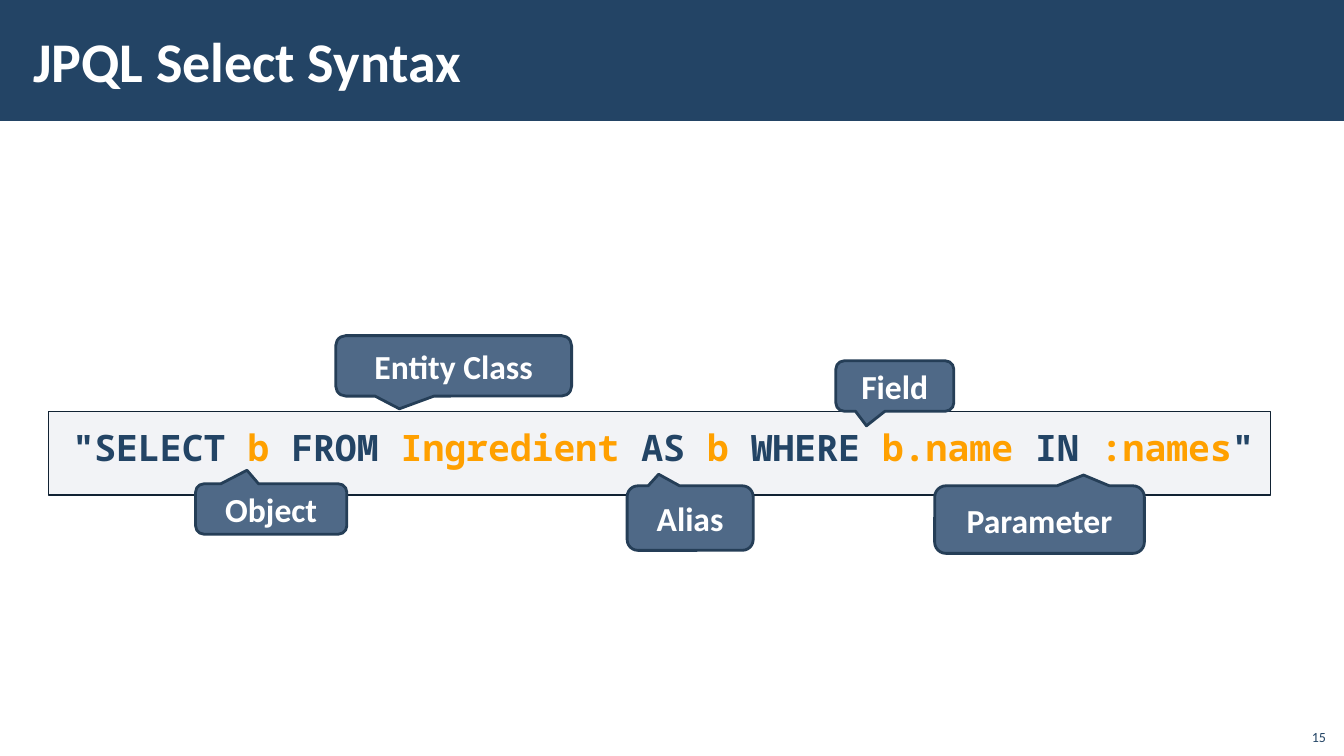
from dataclasses import dataclass

from lxml.etree import SubElement
from pptx import Presentation
from pptx.dml.color import RGBColor
from pptx.enum.shapes import MSO_SHAPE as Shape
from pptx.enum.text import MSO_ANCHOR as Anchor, PP_ALIGN as Align
from pptx.oxml.ns import qn
from pptx.util import Inches, Pt


@dataclass(frozen=True)
class Theme:
    navy: str = "234465"
    white: str = "FFFFFF"
    orange: str = "FFA000"
    code_fill: str = "ADB4C3"
    code_line: str = "112233"
    callout_fill: str = "4F6987"
    callout_line: str = "253E57"
    body_font: str = "Calibri"
    code_font: str = "Noto Sans Mono"
    title_size: int = 40
    code_size: int = 26
    callout_size: int = 24
    number_size: int = 10


def write(shape, spans, *, font, size, bold=False, align=Align.LEFT,
          anchor=Anchor.TOP, insets=(0.1, 0.05), indent=0, spacing=None):
    """Fill a shape with one paragraph of (text, colour) spans."""
    frame = shape.text_frame
    frame.word_wrap = True
    frame.vertical_anchor = anchor
    frame.margin_left = frame.margin_right = Inches(insets[0])
    frame.margin_top = frame.margin_bottom = Inches(insets[1])
    para = frame.paragraphs[0]
    para.alignment = align
    if spacing:
        para.line_spacing = spacing
    if indent:
        para._p.get_or_add_pPr().set("marL", str(Inches(indent)))
    for text, color in spans:
        span = para.add_run()
        span.text = text
        span.font.name = font
        span.font.size = Pt(size)
        span.font.bold = bold
        span.font.color.rgb = RGBColor.from_string(color)


class SlideBuilder:
    def __init__(self, slide, theme):
        self.slide = slide
        self.theme = theme

    def shape(self, kind, place, fill, line=None, width=1, opacity=None):
        shape = self.slide.shapes.add_shape(kind, *map(Inches, place))
        shape.shadow.inherit = False
        shape.fill.solid()
        shape.fill.fore_color.rgb = RGBColor.from_string(fill)
        if opacity is not None:
            color = shape.fill._xPr.find(qn("a:solidFill"))[0]
            SubElement(color, qn("a:alpha")).set("val", str(opacity * 1000))
        if line:
            shape.line.color.rgb = RGBColor.from_string(line)
            shape.line.width = Pt(width)
        else:
            shape.line.fill.background()
        return shape

    def label(self, text, place, color, **style):
        box = self.slide.shapes.add_textbox(*map(Inches, place))
        write(box, [(text, color)], font=self.theme.body_font, **style)

    def title(self, text):
        theme = self.theme
        self.shape(Shape.RECTANGLE, (0, 0, 13.33, 1.2), theme.navy)
        self.label(text, (0.21, 0.11, 10.63, 0.97), theme.white, bold=True,
                   size=theme.title_size, anchor=Anchor.MIDDLE, insets=(0.12, 0.04))

    def query(self, parts, place):
        """Draw a code box whose parts alternate between keyword and highlight."""
        theme = self.theme
        box = self.shape(Shape.RECTANGLE, place, theme.code_fill,
                         theme.code_line, opacity=15)
        colors = (theme.navy, theme.orange)
        spans = [(part, colors[index % 2]) for index, part in enumerate(parts)]
        write(box, spans, font=theme.code_font, size=theme.code_size, bold=True,
              insets=(0.16, 0.12), indent=0.08, spacing=1.05)

    def callout(self, text, place, tip):
        """Draw a callout; tip is its offset from the centre in widths and heights."""
        theme = self.theme
        bubble = self.shape(Shape.ROUNDED_RECTANGULAR_CALLOUT, place,
                            theme.callout_fill, theme.callout_line, width=2)
        bubble.adjustments[0], bubble.adjustments[1] = tip
        write(bubble, [(text, theme.white)], font=theme.body_font, bold=True,
              size=theme.callout_size, align=Align.CENTER, anchor=Anchor.MIDDLE)

    def number(self, text):
        self.label(text, (12.85, 7.12, 0.4, 0.32), self.theme.navy,
                   size=self.theme.number_size, align=Align.RIGHT, anchor=Anchor.BOTTOM)


QUERY = ['"SELECT ', "b", " FROM ", "Ingredient", " AS ", "b",
         " WHERE ", "b.name", " IN ", ":names", '"']

CALLOUTS = [
    ("Entity Class", (3.33, 3.33, 2.34, 0.6), (-0.23, 0.71)),
    ("Alias", (6.22, 4.82, 1.25, 0.64), (-0.25, -0.68)),
    ("Object", (1.94, 4.8, 1.5, 0.5), (-0.16, -0.77)),
    ("Field", (8.29, 3.58, 1.17, 0.5), (-0.24, 0.79)),
    ("Parameter", (9.27, 4.82, 2.08, 0.67), (0.21, -0.66)),
]


def main():
    deck = Presentation()
    deck.slide_width, deck.slide_height = Inches(13.33), Inches(7.5)
    page = SlideBuilder(deck.slides.add_slide(deck.slide_layouts[6]), Theme())
    page.title("JPQL Select Syntax")
    page.query(QUERY, (0.48, 4.08, 12.12, 0.83))
    for text, place, tip in CALLOUTS:
        page.callout(text, place, tip)
    page.number("15")
    deck.save("out.pptx")


if __name__ == "__main__":
    main()
